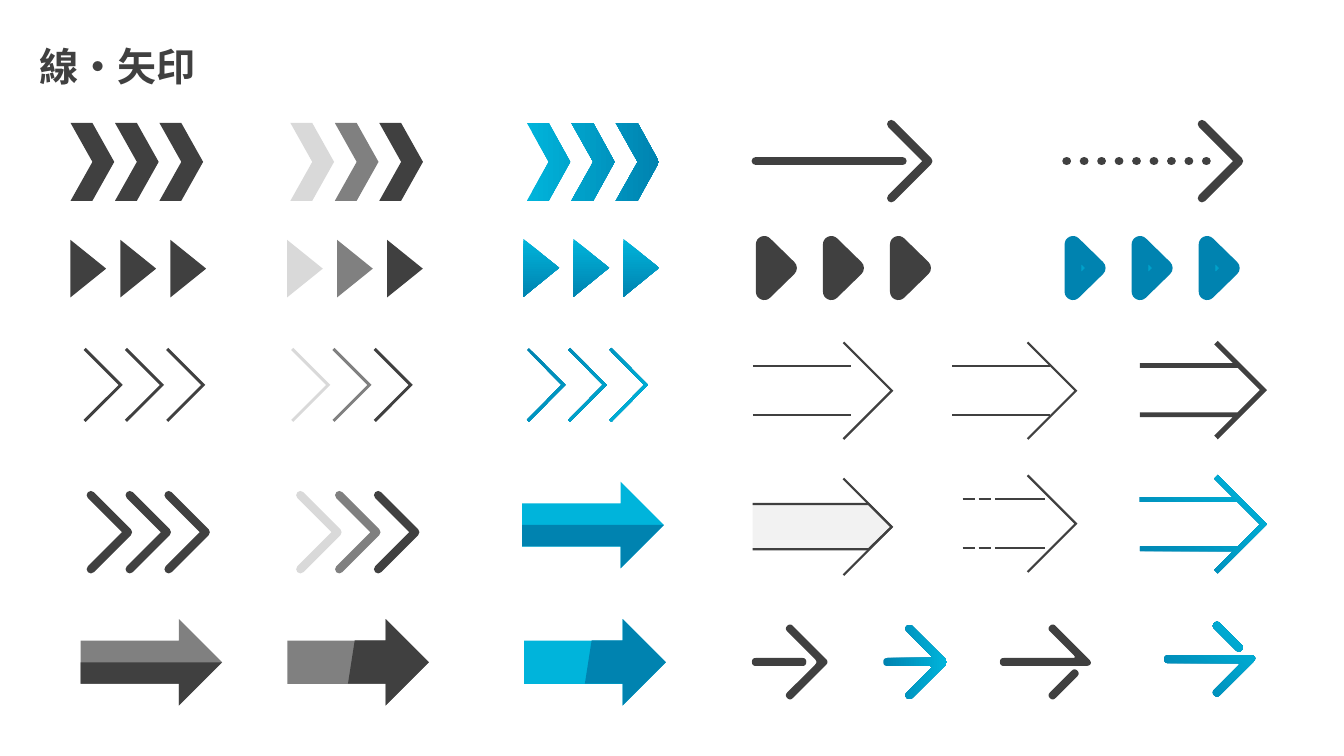
from math import hypot

from lxml.etree import SubElement
from pptx import Presentation
from pptx.dml.color import RGBColor
from pptx.enum.dml import MSO_LINE
from pptx.enum.shapes import MSO_CONNECTOR, MSO_SHAPE as SHAPE
from pptx.enum.text import MSO_ANCHOR, MSO_AUTO_SIZE, PP_ALIGN
from pptx.oxml.ns import qn
from pptx.util import Cm, Pt

FONT = "Noto Sans CJK JP"
DARK = RGBColor(0x40, 0x40, 0x40)
GRAY = RGBColor(0x80, 0x80, 0x80)
LIGHT = RGBColor(0xD9, 0xD9, 0xD9)
PALE = RGBColor(0xF2, 0xF2, 0xF2)
CYAN = RGBColor(0x00, 0xB4, 0xDB)
BLUE = RGBColor(0x00, 0x83, 0xB0)
SOLID = (DARK, DARK, DARK)
FADE = (LIGHT, GRAY, DARK)

ARM, DIAG, HALF = 0.98, 0.14, 0.1


def paint(sp, fill, line=None, width=0):
    """Fill with a colour or a (start, end, angle) gradient and set the outline."""
    sp.shadow.inherit = False
    if isinstance(fill, RGBColor):
        sp.fill.solid()
        sp.fill.fore_color.rgb = fill
    else:
        start, end, angle = fill
        sp.fill.gradient()
        sp.fill.gradient_angle = angle
        for stop, color, place in zip(sp.fill.gradient_stops, (start, end), (0, 1)):
            stop.color.rgb = color
            stop.position = place
    if line is None:
        sp.line.fill.background()
    else:
        sp.line.color.rgb = line
        sp.line.width = Pt(width)
        SubElement(sp.line._get_or_add_ln(), qn("a:round"))


def add_preset(s, kind, box, fill, line=None, width=0, rotation=0):
    """Add a preset shape and return it."""
    sp = s.shapes.add_shape(kind, *(Cm(v) for v in box))
    sp.rotation = rotation
    paint(sp, fill, line, width)
    return sp


def add_head(s, x, y, size, color, thickness, line=None, width=0):
    """Add an open arrowhead: a corner shape turned to point right."""
    box = (x, y, size, size)
    sp = add_preset(s, SHAPE.RECTANGLE, box, color, line, width, 225)
    geometry = sp._element.spPr.find(qn("a:prstGeom"))
    geometry.set("prst", "corner")
    guides = geometry.find(qn("a:avLst"))
    for name in ("adj1", "adj2"):
        SubElement(guides, qn("a:gd"), name=name, fmla=f"val {thickness}")


def add_round_head(s, x, y, color):
    """Add a thick arrowhead with round ends."""
    add_head(s, x, y, 1.32, color, 0, color, 6)


def add_trio(s, kind, box, pitch, colors, **style):
    """Add three equal shapes side by side."""
    x, y, w, h = box
    for i, color in enumerate(colors):
        add_preset(s, kind, (x + i * pitch, y, w, h), color, **style)


def add_outline(s, x, y, contours, fill, line=None, width=0, close=True):
    """Add a freeform whose contours are measured from (x, y)."""
    builder = None
    for contour in contours:
        first, *rest = [(Cm(x + dx), Cm(y + dy)) for dx, dy in contour]
        if builder is None:
            builder = s.shapes.build_freeform(*first)
        else:
            builder.move_to(*first)
        builder.add_line_segments(rest, close=close)
    paint(builder.convert_to_shape(), fill, line, width)


def add_line(s, x1, x2, y, width, dash=None):
    """Add a horizontal dark line, round-ended when it is thick."""
    c = s.shapes.add_connector(MSO_CONNECTOR.STRAIGHT, Cm(x1), Cm(y), Cm(x2), Cm(y))
    c.line.color.rgb = DARK
    c.line.width = Pt(width)
    if dash:
        c.line.dash_style = dash
    if width > 2:
        c.line._get_or_add_ln().set("cap", "rnd")
    SubElement(c._element.spPr, qn("a:effectLst"))


def repeat(contour, pitch):
    """Return three copies of a contour, spaced by the pitch."""
    return [[(x + i * pitch, y) for x, y in contour] for i in range(3)]


def mirror(points):
    """Return the points flipped top to bottom, in reverse order."""
    return [(x, -y) for x, y in reversed(points)]


def soften(points, cut=0.1, steps=5):
    """Round every corner of a polygon."""
    result = []
    for i, (x, y) in enumerate(points):
        ends = []
        for nx, ny in (points[i - 1], points[(i + 1) % len(points)]):
            part = min(cut / hypot(nx - x, ny - y), 0.5)
            ends.append((x + (nx - x) * part, y + (ny - y) * part))
        (ax, ay), (bx, by) = ends
        for k in range(steps + 1):
            t = k / steps
            u = 1 - t
            result.append((u * u * ax + 2 * u * t * x + t * t * bx,
                           u * u * ay + 2 * u * t * y + t * t * by))
    return result


def add_title(s, text):
    """Place and format the slide title."""
    sp = s.shapes.title
    sp.left, sp.top, sp.width, sp.height = Cm(0.74), Cm(0.94), Cm(4.5), Cm(1.45)
    tf = sp.text_frame
    tf.text = text
    tf.word_wrap = False
    tf.auto_size = MSO_AUTO_SIZE.NONE
    tf.vertical_anchor = MSO_ANCHOR.MIDDLE
    p = tf.paragraphs[0]
    p.alignment = PP_ALIGN.LEFT
    r = p.runs[0]
    r.font.size, r.font.bold, r.font.name = Pt(28), True, FONT
    r.font.color.rgb = DARK
    SubElement(r._r.get_or_add_rPr(), qn("a:ea"), typeface=FONT)


def add_chevron_rows(s):
    """Add the trios of chevrons and triangles."""
    for colors, chevron_x, triangle_x, thin_x, round_x in (
            (SOLID, 1.78, 1.5, 1.5, 1.63), (FADE, 7.32, 6.96, 6.73, 6.91)):
        add_trio(s, SHAPE.CHEVRON, (chevron_x, 3.1, 1.1, 1.96), 1.12, colors)
        add_trio(s, SHAPE.ISOSCELES_TRIANGLE, (triangle_x, 6.32, 1.45, 0.9), 1.26,
                 colors, rotation=90)
        for i, color in enumerate(colors):
            add_head(s, thin_x + i * 1.04, 9.04, 1.32, color, 5700)
            add_round_head(s, round_x + i * 0.98, 12.75, color)
    chevron = [(0, 0), (0.55, 0), (1.09, 0.98), (0.55, 1.96), (0, 1.96), (0.55, 0.98)]
    triangle = [(0, 0), (0.9, 0.73), (0, 1.46)]
    thin = [(0, 0), (-0.92, -0.93), (-0.97, -0.88), (-0.1, 0), (-0.97, 0.88), (-0.92, 0.93)]
    add_outline(s, 13.28, 3.1, repeat(chevron, 1.12), (CYAN, BLUE, 0))
    add_outline(s, 13.19, 6.02, repeat(triangle, 1.26), (CYAN, BLUE, 270))
    add_outline(s, 14.25, 9.7, repeat(thin, 1.04), (BLUE, CYAN, 315))
    for x, fill, line in ((18.97, DARK, DARK), (26.75, (BLUE, CYAN, 270), BLUE)):
        add_trio(s, SHAPE.ISOSCELES_TRIANGLE, (x, 6.45, 1.19, 0.61), 1.69, [fill] * 3,
                 line=line, width=12, rotation=90)


def add_block_arrows(s):
    """Add the two-tone block arrows."""
    lower = [(0, 1.09), (3.57, 1.09), (2.48, 2.18), (2.48, 1.63), (0, 1.63)]
    head = [(1.7, 0.54), (2.48, 0.54), (2.48, 0), (3.57, 1.09), (2.48, 2.18),
            (2.48, 1.63), (1.53, 1.63)]
    for x, y, back, front, part in (
            (2.03, 15.6, GRAY, DARK, lower), (7.24, 15.6, GRAY, DARK, head),
            (13.21, 15.6, CYAN, BLUE, head), (13.16, 12.14, CYAN, BLUE, lower)):
        add_preset(s, SHAPE.RIGHT_ARROW, (x, y, 3.57, 2.18), back)
        add_outline(s, x, y, [part], front)


def add_line_arrows(s):
    """Add the arrows made of lines and open heads."""
    for x, dash in ((19.05, None), (26.88, MSO_LINE.ROUND_DOT)):
        add_round_head(s, x + 2.75, 3.4, DARK)
        add_line(s, x, x + 3.69, 4.06, 6.25, dash)
    body = [(0, 0), (2.92, 0), (3.5, 0.58), (2.92, 1.14), (0, 1.14)]
    add_outline(s, 18.97, 12.7, [body], PALE, DARK, 1.5, close=False)
    for x, y in ((20.4, 8.97), (25.04, 8.97), (20.4, 12.4), (25.04, 12.32)):
        add_head(s, x, y, 1.75, DARK, 3100)
    for x1, x2, top in ((18.97, 21.44, 9.22), (24, 26.47, 9.22), (24.26, 24.56, 12.57),
                        (24.66, 24.97, 12.57), (25.07, 26.34, 12.57)):
        for y in (top, top + 1.24):
            add_line(s, x1, x2, y, 1.5)
    upper = [(-1.24, -1.24), (-1.33, -1.15), (-0.86, -0.68), (-3.2, -0.68),
             (-3.2, -0.56), (-0.74, -0.56)]
    double = [(0, 0), *upper, (-0.18, 0), *mirror(upper)]
    for y, fill in ((9.83, DARK), (13.21, (BLUE, CYAN, 45))):
        add_outline(s, 31.93, y, [double], fill)


def add_soft_arrows(s):
    """Add the small arrows with rounded outlines along the bottom."""
    arm = [(-ARM, -ARM), (-ARM - DIAG, -ARM + DIAG)]
    inner = -2 * DIAG - HALF
    chevron = [(0, 0), *arm, (-2 * DIAG, 0), *mirror(arm)]
    shaft = [(-1.94, -HALF), (-0.57, -HALF), (-0.57, HALF), (-1.94, HALF)]
    upper = [*arm, (inner, -HALF), (-1.64, -HALF)]
    joined = [(0, 0), *upper, *mirror(upper)]
    hook = [(0, 0), *arm, (inner, -HALF), (-2.31, -HALF), (-2.31, HALF), (-0.05, HALF)]
    barb = [(-0.29, 0.29), (-0.29 - DIAG, 0.29 - DIAG), *mirror(arm)]
    split = [hook, barb]
    for x, y, contours, fill in (
            (20.89, 16.68, [chevron, shaft], DARK), (23.9, 16.68, [joined], (BLUE, CYAN, 0)),
            (27.51, 16.68, split, DARK),
            (31.65, 16.61, [mirror(c) for c in split], (BLUE, CYAN, 45))):
        add_outline(s, x, y, [soften(c) for c in contours], fill)


def main():
    """Build the slide of lines and arrows."""
    prs = Presentation()
    prs.slide_width, prs.slide_height = Cm(33.87), Cm(19.05)
    s = prs.slides.add_slide(prs.slide_layouts[5])
    add_title(s, "線・矢印")
    for add_part in (add_chevron_rows, add_block_arrows, add_line_arrows, add_soft_arrows):
        add_part(s)
    prs.save("out.pptx")


if __name__ == "__main__":
    main()
